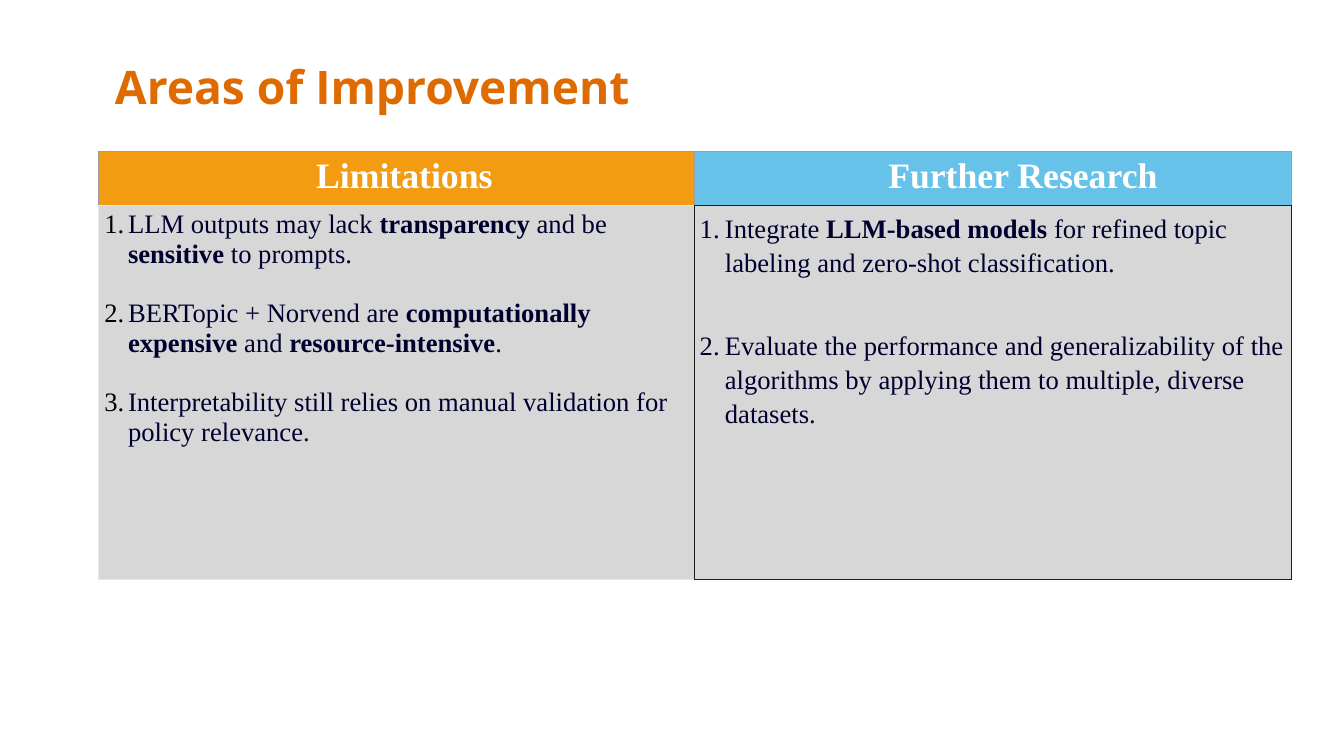
from lxml.etree import SubElement
from pptx import Presentation
from pptx.dml.color import RGBColor
from pptx.enum.text import MSO_ANCHOR as Anchor, MSO_AUTO_SIZE as AutoSize, PP_ALIGN as Align
from pptx.oxml.ns import qn
from pptx.util import Inches, Pt


def rgb(color):
    return RGBColor.from_string(color)


def add_run(paragraph, words, size, color, bold, face="Times New Roman"):
    run = paragraph.add_run()
    run.text = words
    run.font.name = face
    run.font.size = Pt(size)
    run.font.bold = bold
    run.font.color.rgb = rgb(color)


INK, GRAY, PALE, DARK = "00002E", "9E9E9E", "E7E6E6", "1D1C1C"

headings = [
    ("Limitations", "F39C11", 4.23, (GRAY, GRAY, GRAY, PALE)),
    ("Further Research", "67C2EA", 3.74, (GRAY, GRAY, GRAY, DARK)),
]
limitations = [
    [("LLM outputs may lack ", False), ("transparency", True), (" and be ", False),
     ("sensitive", True), (" to prompts.", False)],
    [("BERTopic + Norvend are ", False), ("computationally expensive", True),
     (" and ", False), ("resource-intensive", True), (".", False)],
    [("Interpretability still relies on manual validation for policy relevance.", False)],
]
research = [
    [("Integrate ", False), ("LLM-based models", True),
     (" for refined topic labeling and zero-shot classification.", False)],
    [("Evaluate the performance and generalizability of the algorithms "
      "by applying them to multiple, diverse datasets.", False)],
]
lists = [
    (limitations, "000000", -0.47, 1.0, 0, 43, (PALE, DARK, PALE, PALE)),
    (research, INK, -0.51, 1.15, 12, 71, (DARK, DARK, DARK, DARK)),
]

deck = Presentation()
deck.slide_width, deck.slide_height = Inches(26.66), Inches(15)
slide = deck.slides.add_slide(deck.slide_layouts[5])

heading = slide.shapes.title
heading.left, heading.top = Inches(2.18), Inches(1.11)
heading.width, heading.height = Inches(22.44), Inches(1.35)
heading.text_frame.auto_size = AutoSize.NONE
heading.text_frame.word_wrap = True
heading.text_frame.vertical_anchor = Anchor.MIDDLE
headline = heading.text_frame.paragraphs[0]
headline.alignment = Align.LEFT
headline.line_spacing = 0.9
add_run(headline, "Areas of Improvement", 66, "DF6B00", True, "Open Sans")

column, header_row, list_row = Inches(11.84), Inches(1.07), Inches(7.42)
improvements = slide.shapes.add_table(
    2, 2, Inches(1.94), deck.slide_height // 5, 2 * column, header_row + list_row).table
improvements.horz_banding = False
improvements.rows[0].height, improvements.rows[1].height = header_row, list_row
for side in improvements.columns:
    side.width = column

for side, (name, band, indent, edges) in enumerate(headings):
    cell = improvements.cell(0, side)
    cell.fill.solid()
    cell.fill.fore_color.rgb = rgb(band)
    label = cell.text_frame.paragraphs[0]
    label._p.get_or_add_pPr().set("marL", str(Inches(indent)))
    add_run(label, name, 51, "FFFFFF", True)

for side, (items, number_color, hang, leading, first_gap, gap, edges) in enumerate(lists):
    cell = improvements.cell(1, side)
    cell.fill.solid()
    cell.fill.fore_color.rgb = rgb("D7D7D7")
    for position, item in enumerate(items):
        frame = cell.text_frame
        point = frame.add_paragraph() if position else frame.paragraphs[0]
        point.line_spacing = leading
        point.space_before = Pt(gap if position else first_gap)
        props = point._p.get_or_add_pPr()
        props.set("marL", str(Inches(0.5)))
        props.set("indent", str(Inches(hang)))
        SubElement(SubElement(props, qn("a:buClr")), qn("a:srgbClr"), val=number_color)
        SubElement(props, qn("a:buFont"), typeface="Times New Roman")
        SubElement(props, qn("a:buAutoNum"), type="arabicPeriod")
        for words, bold in item:
            add_run(point, words, 38, INK, bold)

for row, specs in enumerate((headings, lists)):
    for side, spec in enumerate(specs):
        cell = improvements.cell(row, side)
        cell.margin_left = cell.margin_right = Inches(0.1)
        cell.margin_top = cell.margin_bottom = Inches(0.1)
        props = cell._tc.get_or_add_tcPr()
        for place, (edge, color) in enumerate(zip("LRTB", spec[-1])):
            line = SubElement(props, qn(f"a:ln{edge}"), w=str(Pt(0.75)))
            SubElement(SubElement(line, qn("a:solidFill")), qn("a:srgbClr"), val=color)
            props.insert(place, line)

deck.save("out.pptx")
